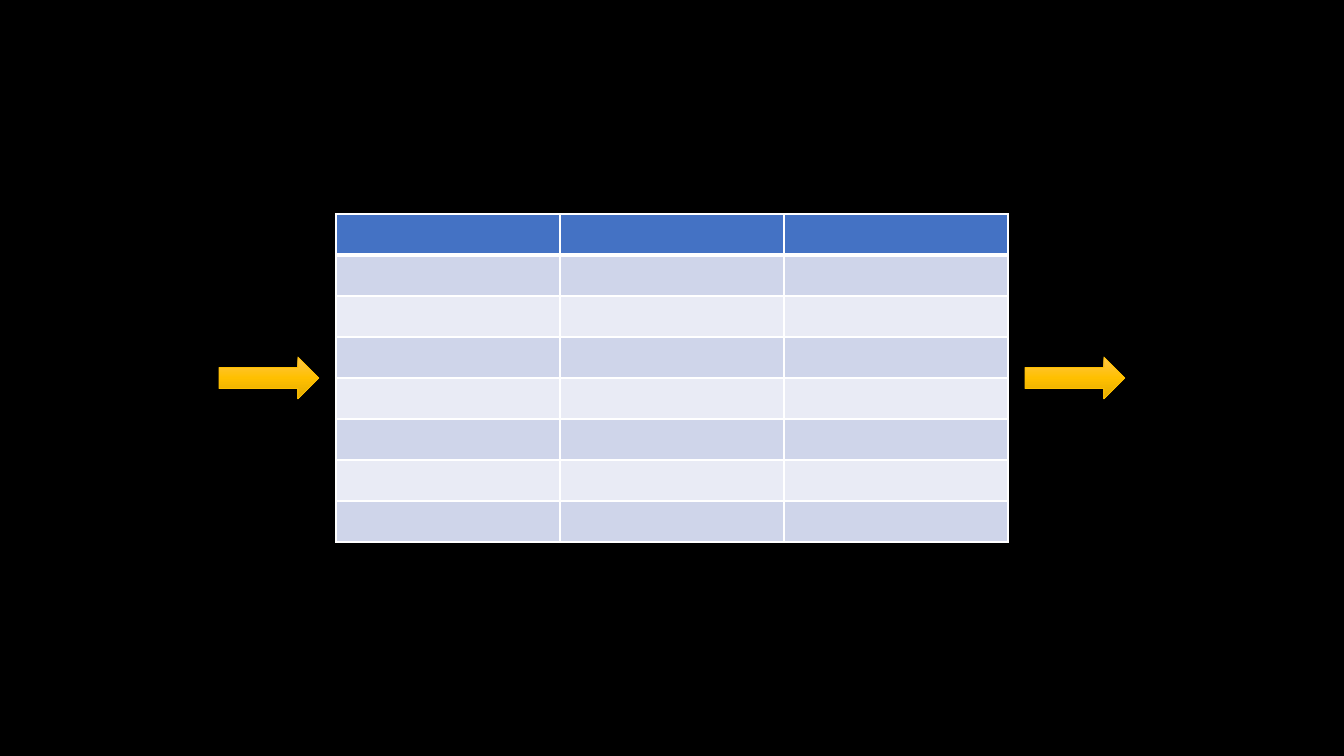
from copy import deepcopy

from lxml import etree
from pptx import Presentation
from pptx import util as u
from pptx.dml.color import RGBColor
from pptx.enum import shapes
from pptx.oxml.ns import qn

COLORS = {
    "background": "000000",
    "header": "4472C4",
    "odd": "CFD5EA",
    "even": "E9EBF5",
    "border": "FFFFFF",
    "arrow_light": "FFC64B",
    "arrow": "FFC000",
    "arrow_dark": "E3AB00",
}
SCALE = 12192000 / 1344


def px(length):
    return u.Emu(round(length * SCALE))


def color(name):
    return RGBColor.from_string(COLORS[name])


deck = Presentation()
deck.slide_width, deck.slide_height = px(1344), px(756)
slide = deck.slides.add_slide(deck.slide_layouts[6])
slide.background.fill.solid()
slide.background.fill.fore_color.rgb = color("background")

ROWS, COLUMNS = 8, 3
COLUMN_WIDTH, ROW_HEIGHT = 224, 41
grid = slide.shapes.add_table(
    ROWS, COLUMNS, px(336), px(214), px(COLUMNS * COLUMN_WIDTH), px(ROWS * ROW_HEIGHT)
).table
for column in grid.columns:
    column.width = px(COLUMN_WIDTH)

for index, row in enumerate(grid.rows):
    row.height = px(ROW_HEIGHT)
    band = "header" if index == 0 else "odd" if index % 2 else "even"
    borders = {"lnL": 1, "lnR": 1, "lnT": 1, "lnB": 1}
    if index == 0:
        borders["lnB"] = 3
    else:
        del borders["lnT"]
    for cell in row.cells:
        properties = cell._tc.get_or_add_tcPr()
        for side, width in borders.items():
            border = etree.SubElement(properties, qn(f"a:{side}"), w=str(u.Pt(width)))
            paint = etree.SubElement(border, qn("a:solidFill"))
            etree.SubElement(paint, qn("a:srgbClr"), val=COLORS["border"])
        cell.fill.solid()
        cell.fill.fore_color.rgb = color(band)

for left in (219, 1025):
    arrow = slide.shapes.add_shape(
        shapes.MSO_SHAPE.RIGHT_ARROW, px(left), px(357), px(100), px(42)
    )
    arrow.shadow.inherit = False
    arrow.fill.gradient()
    arrow.fill.gradient_angle = 270
    stop_list = arrow._element.spPr.find(f".//{qn('a:gsLst')}")
    stop_list.append(deepcopy(stop_list[-1]))
    shades = ("arrow_light", "arrow", "arrow_dark")
    for step, (stop, shade) in enumerate(zip(arrow.fill.gradient_stops, shades)):
        stop.position = step / 2
        stop.color.rgb = color(shade)
    arrow.line.color.rgb = color("arrow")
    arrow.line.width = u.Pt(0.5)

deck.save("out.pptx")
